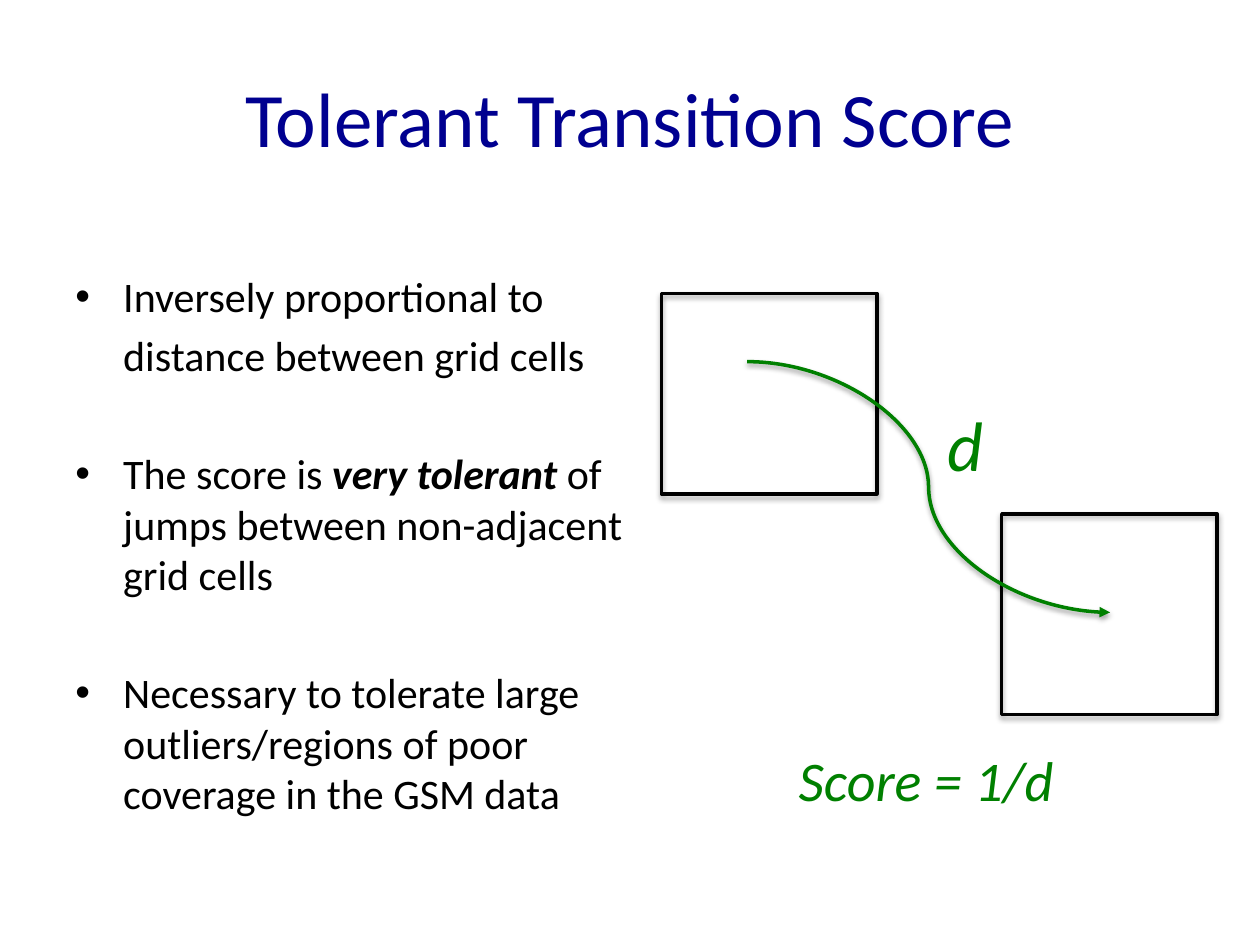
from lxml.etree import SubElement
from pptx import Presentation
from pptx.dml.color import RGBColor
from pptx.enum.shapes import MSO_CONNECTOR as CONNECTOR, MSO_SHAPE as SHAPE
from pptx.enum.text import MSO_ANCHOR as ANCHOR, MSO_AUTO_SIZE as AUTO_SIZE, PP_ALIGN as ALIGN
from pptx.oxml.ns import qn
from pptx.util import Inches, Pt

NAVY = RGBColor(0x00, 0x00, 0x90)
GREEN = RGBColor(0x00, 0x80, 0x00)
BLACK = RGBColor(0x00, 0x00, 0x00)
FONT = "Calibri"

# Content
TITLE = "Tolerant Transition Score"
# Each line: (bulleted, space before in points, [(text, emphasised)])
LINE_GAP, POINT_GAP = 4.8, 38.8
POINTS = [
    (True, 0, [("Inversely proportional to", False)]),
    (False, LINE_GAP, [("distance between grid cells", False)]),
    (True, POINT_GAP, [("The score is ", False), ("very tolerant ", True),
                       ("of jumps between non-adjacent grid cells", False)]),
    (True, POINT_GAP, [("Necessary to tolerate large outliers/regions of poor "
                        "coverage in the GSM data", False)]),
]
CELL_SIZE = (1.71, 1.59)
GRID_CELLS = [(5.25, 2.33), (7.95, 4.08)]
JUMP = (5.93, 2.87, 8.81, 4.86)
LABELS = [("d", 40, (7.42, 3.14, 0.59, 0.77)),
          ("Score = 1/d", 32, (6.24, 5.87, 2.35, 0.64))]
INDENT = 0.38


def inches(values):
    return [Inches(value) for value in values]


def style(font, size, color):
    font.name, font.size = FONT, Pt(size)
    font.color.rgb = color


def set_indent(paragraph, bulleted):
    props = paragraph._p.get_or_add_pPr()
    props.set("marL", str(Inches(INDENT)))
    props.set("indent", str(-Inches(INDENT) if bulleted else 0))
    if bulleted:
        SubElement(props, qn("a:buFont"), typeface="Arial")
        SubElement(props, qn("a:buChar"), char="•")
    else:
        SubElement(props, qn("a:buNone"))


prs = Presentation()
prs.slide_width, prs.slide_height = Inches(10), Inches(7.5)
slide = prs.slides.add_slide(prs.slide_layouts[5])
shapes = slide.shapes

# Title
title = shapes.title
title.left, title.top, title.width, title.height = inches((0.5, 0.3, 9, 1.25))
title.text_frame.text = TITLE
title.text_frame.vertical_anchor = ANCHOR.MIDDLE
heading = title.text_frame.paragraphs[0]
heading.alignment = ALIGN.CENTER
style(heading.runs[0].font, 44, NAVY)

# Bullet points
body = shapes.add_textbox(*inches((0.5, 2.1, 4.74, 4.66))).text_frame
body.word_wrap = True
for index, (bulleted, gap, pieces) in enumerate(POINTS):
    point = body.add_paragraph() if index else body.paragraphs[0]
    set_indent(point, bulleted)
    point.space_before = Pt(gap)
    for text, emphasised in pieces:
        run = point.add_run()
        run.text = text
        style(run.font, 24, BLACK)
        run.font.bold = run.font.italic = emphasised

# Grid cells, keeping the theme's soft shadow
for corner in GRID_CELLS:
    cell = shapes.add_shape(SHAPE.RECTANGLE, *inches(corner + CELL_SIZE))
    cell.fill.background()
    cell.line.color.rgb = BLACK
    cell.line.width = Pt(2)

# Jump between the cells, with the theme's shadow
jump = shapes.add_connector(CONNECTOR.CURVE, *inches(JUMP))
jump.line.color.rgb = GREEN
jump.line.width = Pt(2)
SubElement(jump.line._get_or_add_ln(), qn("a:tailEnd"), type="triangle")

# Distance and formula
for text, size, place in LABELS:
    label = shapes.add_textbox(*inches(place)).text_frame
    label.word_wrap = False
    label.auto_size = AUTO_SIZE.SHAPE_TO_FIT_TEXT
    label.text = text
    font = label.paragraphs[0].runs[0].font
    style(font, size, GREEN)
    font.italic = True

prs.save("out.pptx")
